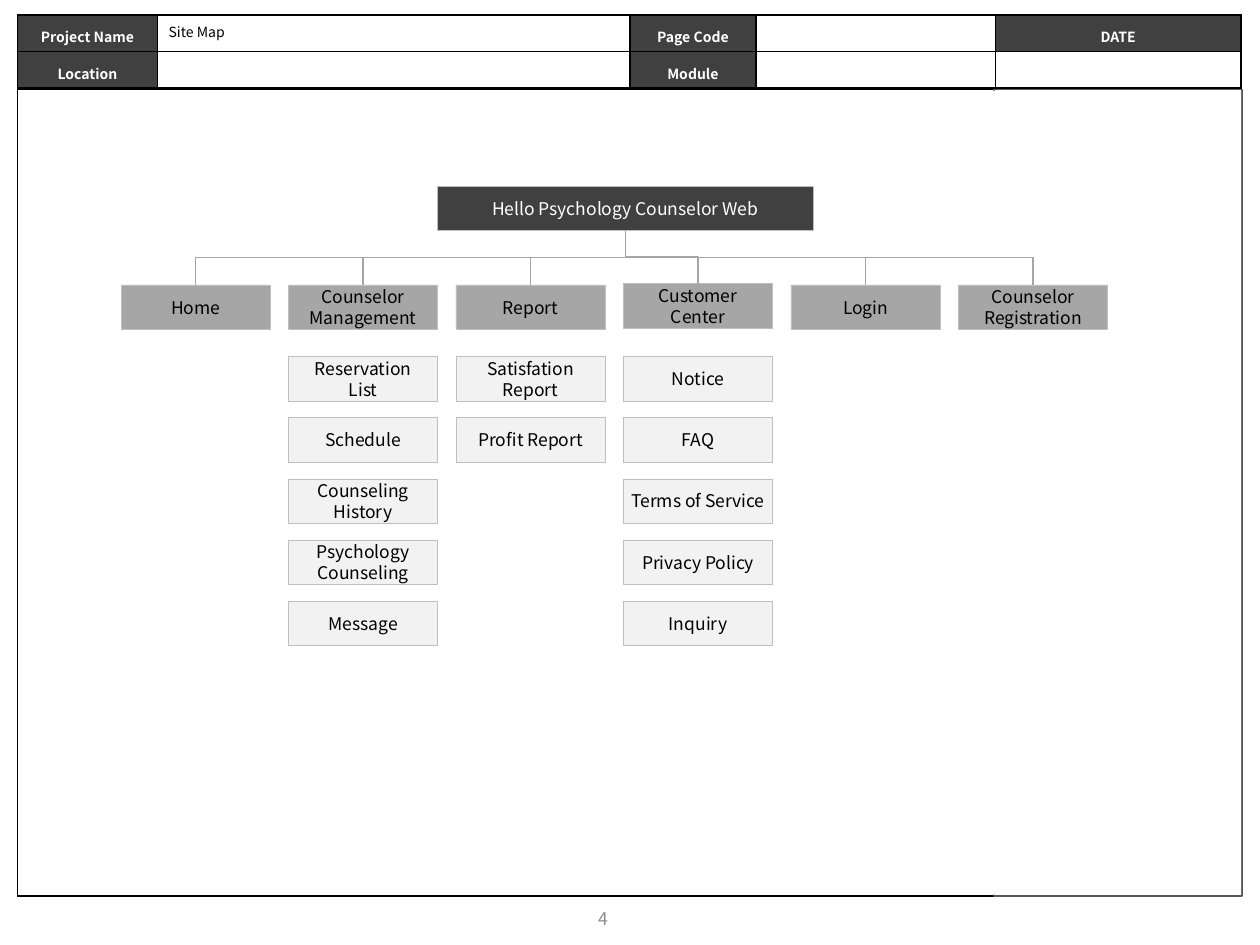
from dataclasses import dataclass

from lxml import etree
from pptx import Presentation
from pptx.dml.color import RGBColor
from pptx.enum.shapes import MSO_CONNECTOR, MSO_SHAPE
from pptx.enum.text import MSO_ANCHOR, MSO_AUTO_SIZE, PP_ALIGN
from pptx.oxml.ns import qn
from pptx.shapes.autoshape import Shape
from pptx.shapes.shapetree import SlideShapes
from pptx.table import Table, _Cell
from pptx.text.text import TextFrame
from pptx.util import Pt

RECTANGLE = MSO_SHAPE.RECTANGLE
ELBOW = MSO_CONNECTOR.ELBOW
CENTER = PP_ALIGN.CENTER
LEFT = PP_ALIGN.LEFT
MIDDLE = MSO_ANCHOR.MIDDLE
FIT_TEXT = MSO_AUTO_SIZE.SHAPE_TO_FIT_TEXT

BLACK = RGBColor(0x00, 0x00, 0x00)
WHITE = RGBColor(0xFF, 0xFF, 0xFF)
CHARCOAL = RGBColor(0x40, 0x40, 0x40)
PANEL_EDGE = RGBColor(0x59, 0x59, 0x59)
PAGE_GRAY = RGBColor(0x8C, 0x8C, 0x8C)
SECTION_GRAY = RGBColor(0xA6, 0xA6, 0xA6)
BOX_EDGE = RGBColor(0xBF, 0xBF, 0xBF)
PAGE_FILL = RGBColor(0xF2, 0xF2, 0xF2)

FONT = "Noto Sans CJK KR"
BOX_WIDTH, BOX_HEIGHT = 85.2, 25.4
FIRST_COLUMN, COLUMN_PITCH = 69.2, 95.7
FIRST_ROW, ROW_PITCH = 203.8, 34.9
HEADER_WIDTHS = (79.9, 270, 72, 136.8, 140.4)
HEADER_LABELS = (
    ("Project Name", "", "Page Code", "", "DATE"),
    ("Location", "", "Module", "", ""),
)


@dataclass(frozen=True)
class Box:
    """A rectangle in points."""

    left: float
    top: float
    width: float = BOX_WIDTH
    height: float = BOX_HEIGHT

    def lengths(self) -> tuple[Pt, Pt, Pt, Pt]:
        """Return the four lengths that python-pptx expects."""
        return Pt(self.left), Pt(self.top), Pt(self.width), Pt(self.height)


@dataclass(frozen=True)
class Section:
    """A top-level menu entry with the pages below it."""

    label: str
    pages: tuple[str, ...] = ()
    top: float = 162.8
    wrap_pages: bool = True


ROOT = Box(249.9, 106.4, 214.8)
SECTIONS = (
    Section("Home"),
    Section(
        "Counselor Management",
        ("Reservation List", "Schedule", "Counseling History",
         "Psychology Counseling", "Message"),
    ),
    Section("Report", ("Satisfation Report", "Profit Report")),
    Section(
        "Customer Center",
        ("Notice", "FAQ", "Terms of Service", "Privacy Policy", "Inquiry"),
        top=162,
        wrap_pages=False,
    ),
    Section("Login"),
    Section("Counselor\nRegistration"),
)


def write(frame: TextFrame, text: str, size: float, color: RGBColor,
          align: PP_ALIGN = CENTER, bold: bool = False) -> None:
    """Fill a text frame and format every run."""
    frame.text = text
    for paragraph in frame.paragraphs:
        paragraph.alignment = align
        for run in paragraph.runs:
            run.font.name = FONT
            run.font.size = Pt(size)
            run.font.bold = bold
            run.font.color.rgb = color


def add_rectangle(shapes: SlideShapes, box: Box, fill: RGBColor,
                  edge: RGBColor | None = None, edge_width: float = 1) -> Shape:
    """Draw a flat rectangle, outlined when an edge colour is given."""
    rectangle = shapes.add_shape(RECTANGLE, *box.lengths())
    rectangle.shadow.inherit = False
    rectangle.fill.solid()
    rectangle.fill.fore_color.rgb = fill
    if edge is None:
        rectangle.line.fill.background()
    else:
        rectangle.line.color.rgb = edge
        rectangle.line.width = Pt(edge_width)
    return rectangle


def add_node(shapes: SlideShapes, box: Box, label: str, fill: RGBColor,
             color: RGBColor = BLACK, wrap: bool = True) -> Shape:
    """Draw one labelled box of the site map."""
    node = add_rectangle(shapes, box, fill, BOX_EDGE, 0.25)
    node.text_frame.word_wrap = wrap
    node.text_frame.vertical_anchor = MIDDLE
    write(node.text_frame, label, 10, color)
    return node


def add_branch(shapes: SlideShapes, parent: Shape, child: Shape) -> None:
    """Join a parent's bottom to a child's top with a vertical-first elbow."""
    start_x, start_y = parent.left + parent.width // 2, parent.top + parent.height
    end_x, end_y = child.left + child.width // 2, child.top
    branch = shapes.add_connector(ELBOW, start_x, start_y, end_x, end_y)
    branch.begin_connect(parent, 2)
    branch.end_connect(child, 0)
    branch.width, branch.height = end_y - start_y, abs(end_x - start_x)
    branch.left = (start_x + end_x - branch.width) // 2
    branch.top = (start_y + end_y - branch.height) // 2
    goes_right = end_x > start_x
    properties = branch._element.spPr
    transform = properties.find(qn("a:xfrm"))
    transform.set("rot", "16200000" if goes_right else "5400000")
    transform.set("flipH", "1" if goes_right else "0")
    branch.line.color.rgb = SECTION_GRAY
    branch.line.width = Pt(0.75)
    etree.SubElement(properties, qn("a:effectLst"))


def add_borders(cell: _Cell) -> None:
    """Give a cell a black one-point border on all sides."""
    properties = cell._tc.get_or_add_tcPr()
    for index, side in enumerate(("lnL", "lnR", "lnT", "lnB")):
        border = etree.Element(qn(f"a:{side}"), w=str(Pt(1)))
        fill = etree.SubElement(border, qn("a:solidFill"))
        etree.SubElement(fill, qn("a:srgbClr"), val=str(BLACK))
        properties.insert(index, border)


def add_grid(shapes: SlideShapes, box: Box, widths: tuple[float, ...],
             labels: tuple[tuple[str, ...], ...]) -> Table:
    """Draw a bordered table whose labelled cells are dark."""
    grid = shapes.add_table(len(labels), len(widths), *box.lengths()).table
    grid.first_row = grid.horz_banding = False
    for column, width in zip(grid.columns, widths):
        column.width = Pt(width)
    for row_index, row in enumerate(labels):
        for column_index, label in enumerate(row):
            cell = grid.cell(row_index, column_index)
            cell.margin_left = cell.margin_right = Pt(2.88)
            cell.margin_top = cell.margin_bottom = Pt(2.88)
            if label:
                cell.fill.solid()
                cell.fill.fore_color.rgb = CHARCOAL
                write(cell.text_frame, label, 8, WHITE, bold=True)
                cell.text_frame.paragraphs[0].line_spacing = 1.3
            else:
                cell.fill.background()
                paragraph = cell.text_frame.paragraphs[0]._p
                etree.SubElement(paragraph, qn("a:endParaRPr"), sz="800")
            add_borders(cell)
    return grid


def add_site_map(shapes: SlideShapes) -> None:
    """Draw the root, its sections, their pages and the branches."""
    root = add_node(shapes, ROOT, "Hello Psychology Counselor Web", CHARCOAL, WHITE)
    for column, section in enumerate(SECTIONS):
        left = FIRST_COLUMN + column * COLUMN_PITCH
        heading = add_node(shapes, Box(left, section.top), section.label, SECTION_GRAY)
        add_branch(shapes, root, heading)
        for row, page in enumerate(section.pages):
            place = Box(left, FIRST_ROW + row * ROW_PITCH)
            add_node(shapes, place, page, PAGE_FILL, wrap=section.wrap_pages)


def main() -> None:
    """Build the site map slide and save it."""
    presentation = Presentation()
    presentation.slide_width, presentation.slide_height = Pt(720), Pt(540)
    shapes = presentation.slides.add_slide(presentation.slide_layouts[6]).shapes

    add_grid(shapes, Box(10.1, 51.1, 698.4, 460.8), (698.4,), (("",),))
    add_grid(shapes, Box(10.1, 8.6, 699.1, 36), HEADER_WIDTHS, HEADER_LABELS)
    add_rectangle(shapes, Box(568.1, 51.1, 141.8, 460.8), WHITE, PANEL_EDGE)

    project = shapes.add_textbox(*Box(89.3, 10.1, 47.5, 17.3).lengths())
    project.text_frame.word_wrap = False
    project.text_frame.auto_size = FIT_TEXT
    write(project.text_frame, "Site Map", 8, BLACK, LEFT)

    add_rectangle(shapes, Box(14.4, 51.8, 694.8, 459.4), WHITE)
    add_site_map(shapes)

    page_number = shapes.add_textbox(*Box(260.6, 510.5, 167.8, 28.8).lengths())
    page_number.text_frame.word_wrap = True
    page_number.text_frame.vertical_anchor = MIDDLE
    write(page_number.text_frame, "4", 10, PAGE_GRAY)

    presentation.save("out.pptx")


if __name__ == "__main__":
    main()
